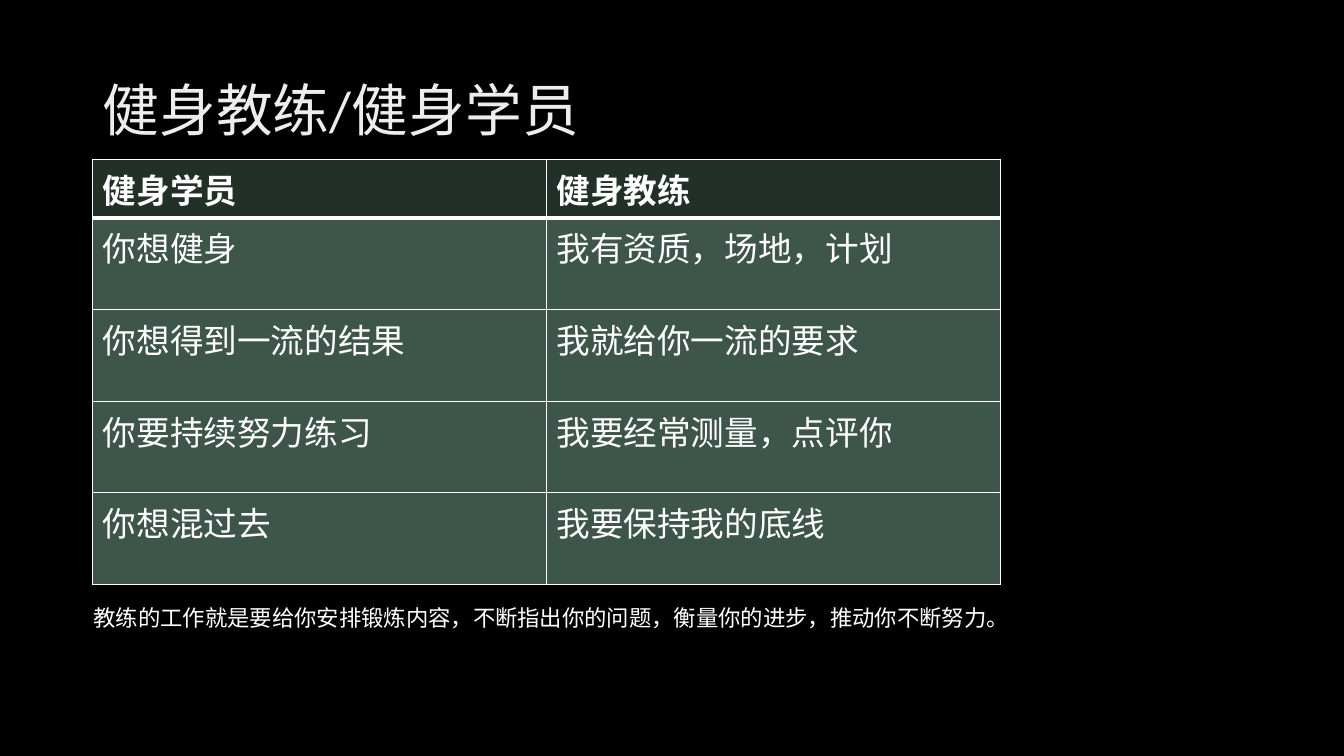
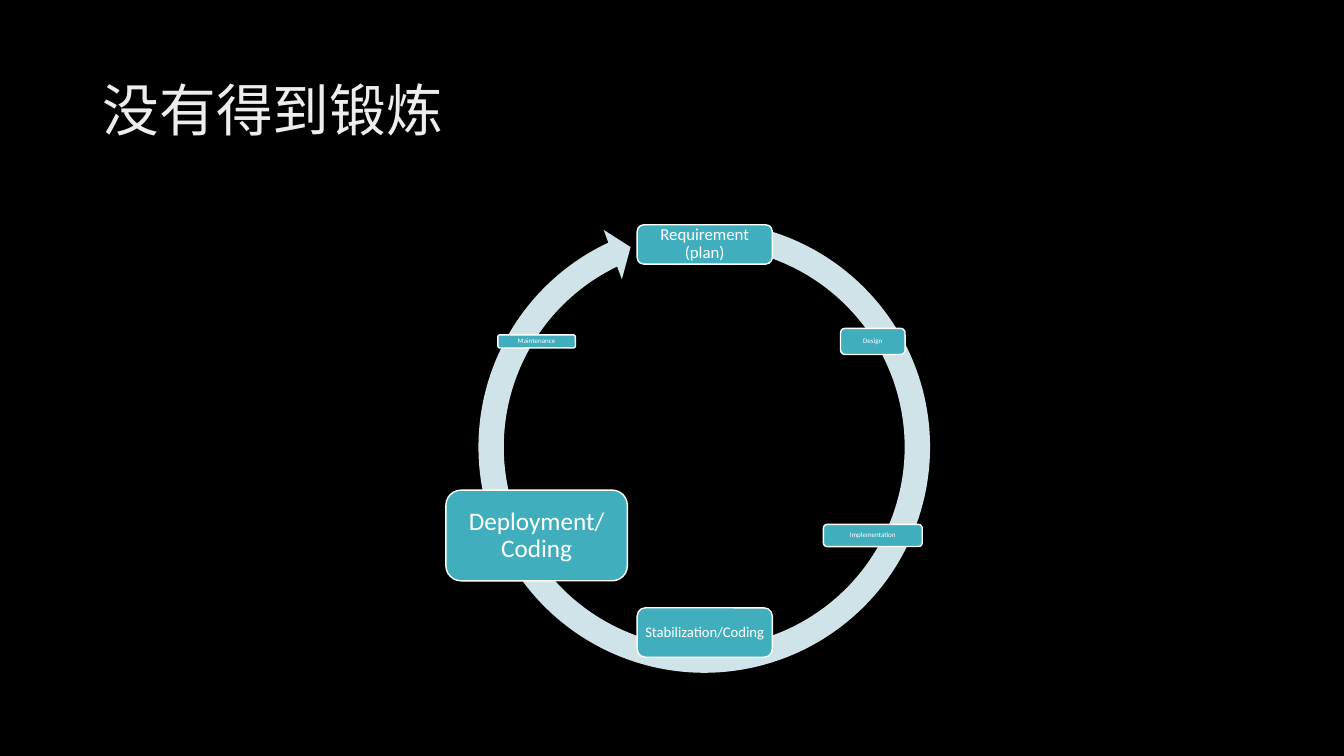
"""Build two slides on coaching: a comparison table and a development cycle."""
import math

from lxml import etree
from pptx import Presentation
from pptx.dml.color import RGBColor
from pptx.enum.shapes import MSO_SHAPE
from pptx.enum.text import MSO_ANCHOR, PP_ALIGN
from pptx.oxml.ns import qn
from pptx.util import Inches, Pt

ROUNDED = MSO_SHAPE.ROUNDED_RECTANGLE
CIRCULAR_ARROW = MSO_SHAPE.CIRCULAR_ARROW
MIDDLE = MSO_ANCHOR.MIDDLE
TOP = MSO_ANCHOR.TOP
CENTER = PP_ALIGN.CENTER

COLORS = {
    "background": "000000",
    "title": "EDEDED",
    "text": "FFFFFF",
    "header": "223028",
    "body": "3E5649",
    "ring": "CFE3E8",
    "stage": "41AEBD",
}
LATIN_FONT = "Calibri"
CJK_FONT = "Noto Sans CJK SC"

COMPARISON = [
    ("健身学员", "健身教练"),
    ("你想健身", "我有资质，场地，计划"),
    ("你想得到一流的结果", "我就给你一流的要求"),
    ("你要持续努力练习", "我要经常测量，点评你"),
    ("你想混过去", "我要保持我的底线"),
]
SUMMARY = "教练的工作就是要给你安排锻炼内容，不断指出你的问题，衡量你的进步，推动你不断努力。"

STAGES = [
    ("Requirement (plan)", 1.34, 0.39, 12, 0.05),
    ("Design", 0.64, 0.26, 5, 0.02),
    ("Implementation", 0.98, 0.22, 5, 0.02),
    ("Stabilization/Coding", 1.34, 0.49, 10.5, 0.05),
    ("Deployment/Coding", 1.8, 0.9, 18, 0.07),
    ("Maintenance", 0.77, 0.13, 5, 0.02),
]
CYCLE_X, CYCLE_Y, CYCLE_RADIUS = 6.99, 4.35, 1.925
RING_LEFT, RING_TOP, RING_SIZE = 4.61, 2.06, 4.75
RING_ADJUSTMENTS = (0.053, 3.126, 146.749, 168.7, 0.055)


def rgb(role):
    """Return the colour for a role."""
    return RGBColor.from_string(COLORS[role])


def add_run(paragraph, text, size, role="text", bold=False, font=LATIN_FONT):
    """Add a styled run with a Chinese font alongside the Latin one."""
    run = paragraph.add_run()
    run.text = text
    run.font.size = Pt(size)
    run.font.bold = bold
    run.font.color.rgb = rgb(role)
    run.font.name = font
    east_asian = etree.SubElement(run.font._element, qn("a:ea"))
    east_asian.set("typeface", CJK_FONT)


def add_text(slide, text, box, size, role="text", font=LATIN_FONT, anchor=TOP, spacing=1.0):
    """Add a wrapped text box holding one paragraph."""
    frame = slide.shapes.add_textbox(*map(Inches, box)).text_frame
    frame.word_wrap = True
    frame.vertical_anchor = anchor
    paragraph = frame.paragraphs[0]
    paragraph.line_spacing = spacing
    add_run(paragraph, text, size, role, font=font)


def add_titled_slide(deck, title):
    """Add a dark slide with the shared title style."""
    slide = deck.slides.add_slide(deck.slide_layouts[6])
    slide.background.fill.solid()
    slide.background.fill.fore_color.rgb = rgb("background")
    add_text(slide, title, (0.92, 0.4, 11.5, 1.45), 40.5, "title", anchor=MIDDLE, spacing=0.9)
    return slide


def set_borders(cell, widths):
    """Draw the cell borders, given widths in points by side."""
    properties = cell._tc.get_or_add_tcPr()
    for side, width in widths.items():
        border = etree.SubElement(properties, qn(f"a:ln{side}"), w=str(Pt(width)))
        fill = etree.SubElement(border, qn("a:solidFill"))
        etree.SubElement(fill, qn("a:srgbClr"), val=COLORS["text"])


def add_comparison(slide, rows):
    """Add the two-column comparison table."""
    table = slide.shapes.add_table(
        len(rows), 2, Inches(0.92), Inches(1.58), Inches(9), Inches(4.22)
    ).table
    for row_index, texts in enumerate(rows):
        is_header = row_index == 0
        table.rows[row_index].height = Inches(0.58 if is_header else 0.91)
        borders = {
            "L": 1,
            "R": 1,
            "T": 3 if row_index == 1 else 1,
            "B": 3 if is_header else 1,
        }
        for column_index, text in enumerate(texts):
            cell = table.cell(row_index, column_index)
            set_borders(cell, borders)
            cell.fill.solid()
            cell.fill.fore_color.rgb = rgb("header" if is_header else "body")
            add_run(cell.text_frame.paragraphs[0], text, 24, bold=is_header)


def add_filled_shape(slide, preset, box, role):
    """Add a flat filled shape without an outline."""
    shape = slide.shapes.add_shape(preset, *map(Inches, box))
    shape.shadow.inherit = False
    shape.fill.solid()
    shape.fill.fore_color.rgb = rgb(role)
    shape.line.fill.background()
    return shape


def add_ring(slide):
    """Add the circular arrow behind the stages."""
    ring = add_filled_shape(
        slide, CIRCULAR_ARROW, (RING_LEFT, RING_TOP, RING_SIZE, RING_SIZE), "ring"
    )
    for index, value in enumerate(RING_ADJUSTMENTS):
        ring.adjustments[index] = value


def add_stage(slide, angle, label, width, height, size, inset):
    """Add one stage on the cycle, with its angle clockwise from the top."""
    left = CYCLE_X + CYCLE_RADIUS * math.sin(angle) - width / 2
    top = CYCLE_Y - CYCLE_RADIUS * math.cos(angle) - height / 2
    stage = add_filled_shape(slide, ROUNDED, (left, top, width, height), "stage")
    stage.line.color.rgb = rgb("text")
    stage.line.width = Pt(1)
    frame = stage.text_frame
    frame.word_wrap = True
    frame.vertical_anchor = MIDDLE
    frame.margin_left = frame.margin_right = Inches(inset)
    frame.margin_top = frame.margin_bottom = Inches(inset)
    paragraph = frame.paragraphs[0]
    paragraph.alignment = CENTER
    paragraph.line_spacing = 0.9
    add_run(paragraph, label, size)


def main():
    """Build and save the deck."""
    deck = Presentation()
    deck.slide_width, deck.slide_height = Inches(13.33), Inches(7.5)

    roles = add_titled_slide(deck, "健身教练/健身学员")
    add_comparison(roles, COMPARISON)
    add_text(roles, SUMMARY, (0.83, 5.94, 9.33, 0.37), 16, font=CJK_FONT)

    cycle = add_titled_slide(deck, "没有得到锻炼")
    add_ring(cycle)
    for index, stage in enumerate(STAGES):
        add_stage(cycle, math.tau * index / len(STAGES), *stage)

    deck.save("out.pptx")


if __name__ == "__main__":
    main()
